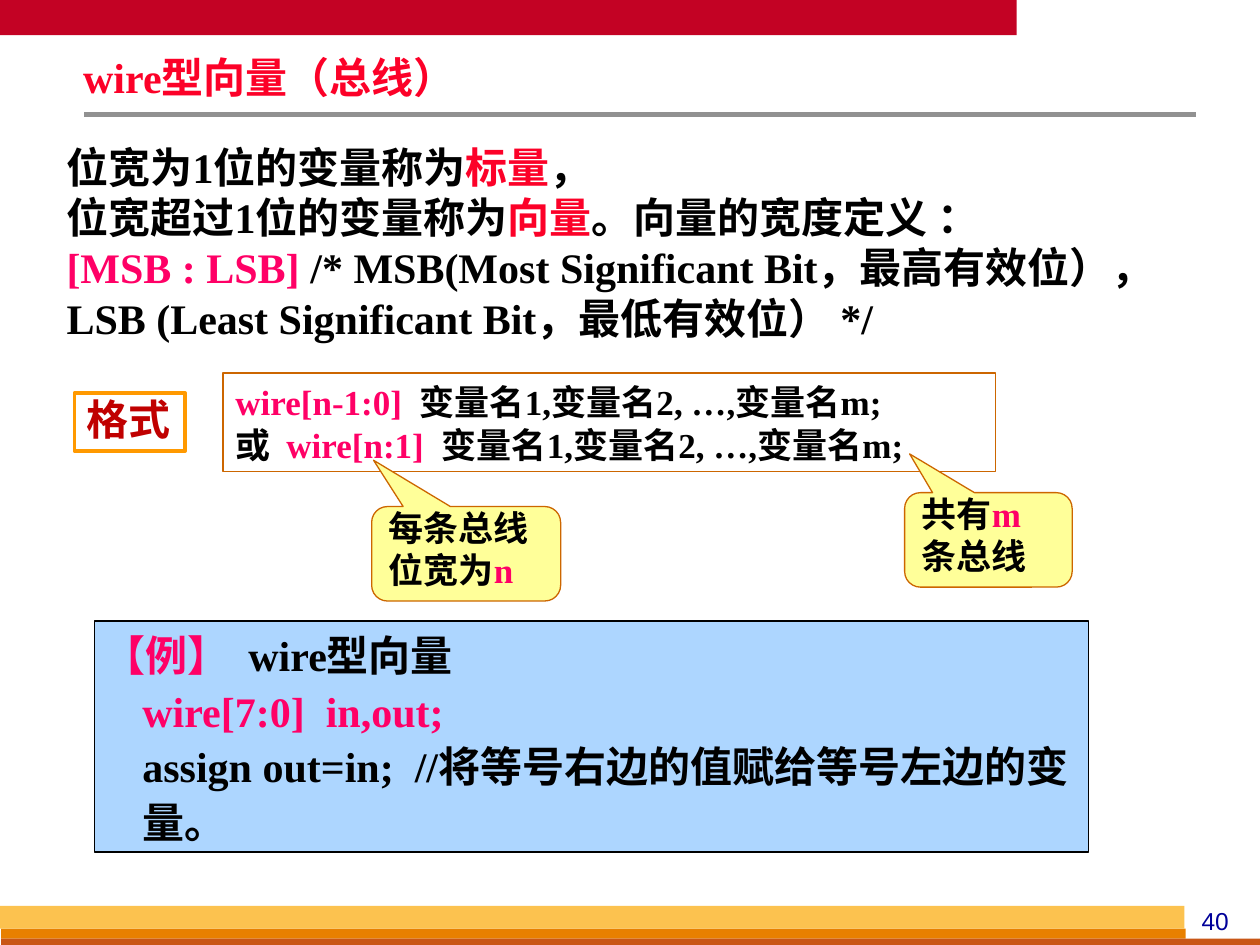
from lxml import etree
from pptx import Presentation
from pptx.dml.color import RGBColor
from pptx.enum import shapes, text
from pptx.oxml.ns import qn
from pptx.util import Inches, Pt

BLACK = RGBColor(0x00, 0x00, 0x00)
RED = RGBColor(0xFC, 0x01, 0x28)
PINK = RGBColor(0xFF, 0x00, 0x66)
DARK_RED = RGBColor(0xC0, 0x00, 0x00)
NAVY = RGBColor(0x00, 0x00, 0x99)
GREY = RGBColor(0x91, 0x91, 0x91)
BANNER_RED = RGBColor(0xC3, 0x02, 0x24)
GOLD = RGBColor(0xFC, 0xC2, 0x4F)
ORANGE = RGBColor(0xE8, 0x80, 0x00)
RUST = RGBColor(0xC9, 0x56, 0x16)
BROWN = RGBColor(0xCC, 0x66, 0x00)
AMBER = RGBColor(0xFF, 0x99, 0x00)
YELLOW = RGBColor(0xFF, 0xFF, 0x99)
LIGHT_BLUE = RGBColor(0xAD, 0xD6, 0xFF)

SERIF = "Times New Roman"
CJK = "Noto Sans CJK JP"
RECTANGLE = shapes.MSO_SHAPE.RECTANGLE
CALLOUT = shapes.MSO_SHAPE.ROUNDED_RECTANGULAR_CALLOUT


def add_box(slide, box, fill=None, line=None, line_width=0.75, kind=RECTANGLE):
    shape = slide.shapes.add_shape(kind, *map(Inches, box))
    shape.shadow.inherit = False
    if fill is None:
        shape.fill.background()
    else:
        shape.fill.solid()
        shape.fill.fore_color.rgb = fill
    if line is None:
        shape.line.fill.background()
    else:
        shape.line.color.rgb = line
        shape.line.width = Pt(line_width)
    return shape


def write(shape, paragraphs, size, font=SERIF, bold=True, margins=(0.1, 0.05),
          anchor=text.MSO_ANCHOR.TOP, align=text.PP_ALIGN.LEFT, spacing=None):
    """Fill a shape with paragraphs, each a list of (wording, colour) runs."""
    frame = shape.text_frame
    frame.word_wrap = True
    frame.vertical_anchor = anchor
    frame.margin_left = frame.margin_right = Inches(margins[0])
    frame.margin_top = frame.margin_bottom = Inches(margins[1])
    for index, runs in enumerate(paragraphs):
        paragraph = frame.paragraphs[0] if index == 0 else frame.add_paragraph()
        paragraph.alignment = align
        paragraph.line_spacing = spacing
        for wording, colour in runs:
            run = paragraph.add_run()
            run.text = wording
            run.font.size = Pt(size)
            run.font.bold = bold
            run.font.name = font
            run.font.color.rgb = colour
            # East Asian typeface follows the Latin one
            east_asian = etree.Element(qn("a:ea"), typeface=CJK)
            run.font._element.find(qn("a:latin")).addnext(east_asian)
    return frame


def add_text(slide, box, paragraphs, size, **options):
    return write(slide.shapes.add_textbox(*map(Inches, box)), paragraphs, size, **options)


def add_frame(slide, width, height):
    # Top banner and title rule
    add_box(slide, (0, 0, 8.07, 0.28), BANNER_RED)
    rule = slide.shapes.add_connector(
        shapes.MSO_CONNECTOR.STRAIGHT, *map(Inches, (0.67, 0.91, 9.49, 0.91)))
    rule.line.color.rgb = GREY
    rule.line.width = Pt(3)
    etree.SubElement(rule._element.spPr, qn("a:effectLst"))
    # Footer stripes and page number
    add_box(slide, (0.01, height - 0.13, 9.4, 0.08), ORANGE)
    add_box(slide, (0.01, height - 0.05, width - 0.01, 0.05), RUST)
    add_box(slide, (0, height - 0.31, 9.4, 0.18), GOLD)
    add_text(slide, (9.33, height - 0.36, 0.63, 0.33), [[("40", NAVY)]], 14,
             font="Arial", bold=False, align=text.PP_ALIGN.CENTER)


def add_definition(slide, box):
    add_text(slide, box, [
        [("位宽为1位的变量称为", BLACK), ("标量", RED), ("，", BLACK)],
        [("位宽超过1位的变量称为", BLACK), ("向量", RED), ("。向量的宽度定义 ：", BLACK)],
        [("[MSB : LSB] ", PINK),
         ("/* MSB(Most Significant Bit，最高有效位）， "
          "LSB (Least Significant Bit，最低有效位） */", BLACK)],
    ], 24)


def add_callout(slide, box, pointer, runs):
    callout = add_box(slide, box, YELLOW, BROWN, kind=CALLOUT)
    for index, value in enumerate((*pointer, 0.167)):
        callout.adjustments[index] = value
    write(callout, [runs], 20, anchor=text.MSO_ANCHOR.BOTTOM)


def add_syntax(slide, left, top):
    # Syntax box
    names = ("变量名1,变量名2, …,变量名m;", BLACK)
    syntax = add_box(slide, (left, top, 6.13, 0.78), line=BROWN)
    write(syntax, [
        [("wire[n-1:0]  ", PINK), names],
        [("或  ", BLACK), ("wire[n:1]  ", PINK), names],
    ], 20, anchor=text.MSO_ANCHOR.BOTTOM)
    # Explanatory callouts
    add_callout(slide, (left + 1.18, top + 1.06, 1.5, 0.75), (-0.49, -0.99),
                [("每条总线位宽为", BLACK), ("n", PINK)])
    add_callout(slide, (left + 5.41, top + 0.95, 1.33, 0.75), (-0.47, -0.91),
                [("共有", BLACK), ("m", PINK), ("条总线", BLACK)])
    # Label
    label = add_box(slide, (left - 1.18, top + 0.16, 0.88, 0.46), line=AMBER, line_width=2)
    frame = write(label, [[("格式", DARK_RED)]], 24, font=CJK, spacing=0.9)
    frame.word_wrap = False


def add_example(slide, box):
    example = add_box(slide, box, LIGHT_BLUE, BLACK, 1)
    frame = write(example, [
        [("【例】  ", PINK), ("wire型向量", BLACK)],
        [("wire[7:0]  in,out;", PINK)],
        [("assign out=in;  //将等号右边的值赋给等号左边的变量。", BLACK)],
    ], 24, margins=(0.07, 0.03), spacing=1.1)
    # Heading hangs; code lines start at the indent
    for index, paragraph in enumerate(frame.paragraphs):
        properties = paragraph._p.get_or_add_pPr()
        properties.set("marL", str(Inches(0.31)))
        properties.set("indent", str(Inches(-0.31 if index == 0 else 0)))


def main():
    presentation = Presentation()
    presentation.slide_width = Inches(10)
    presentation.slide_height = Inches(7.5)
    slide = presentation.slides.add_slide(presentation.slide_layouts[6])
    add_frame(slide, 10, 7.5)
    add_text(slide, (0.59, 0.43, 8.5, 0.41), [[("wire型向量（总线）", RED)]], 24,
             margins=(0.07, 0.03), spacing=0.87)
    add_syntax(slide, 1.77, 2.96)
    add_example(slide, (0.75, 4.93, 7.89, 1.83))
    add_definition(slide, (0.43, 1.07, 9.06, 1.72))
    presentation.save("out.pptx")


if __name__ == "__main__":
    main()
